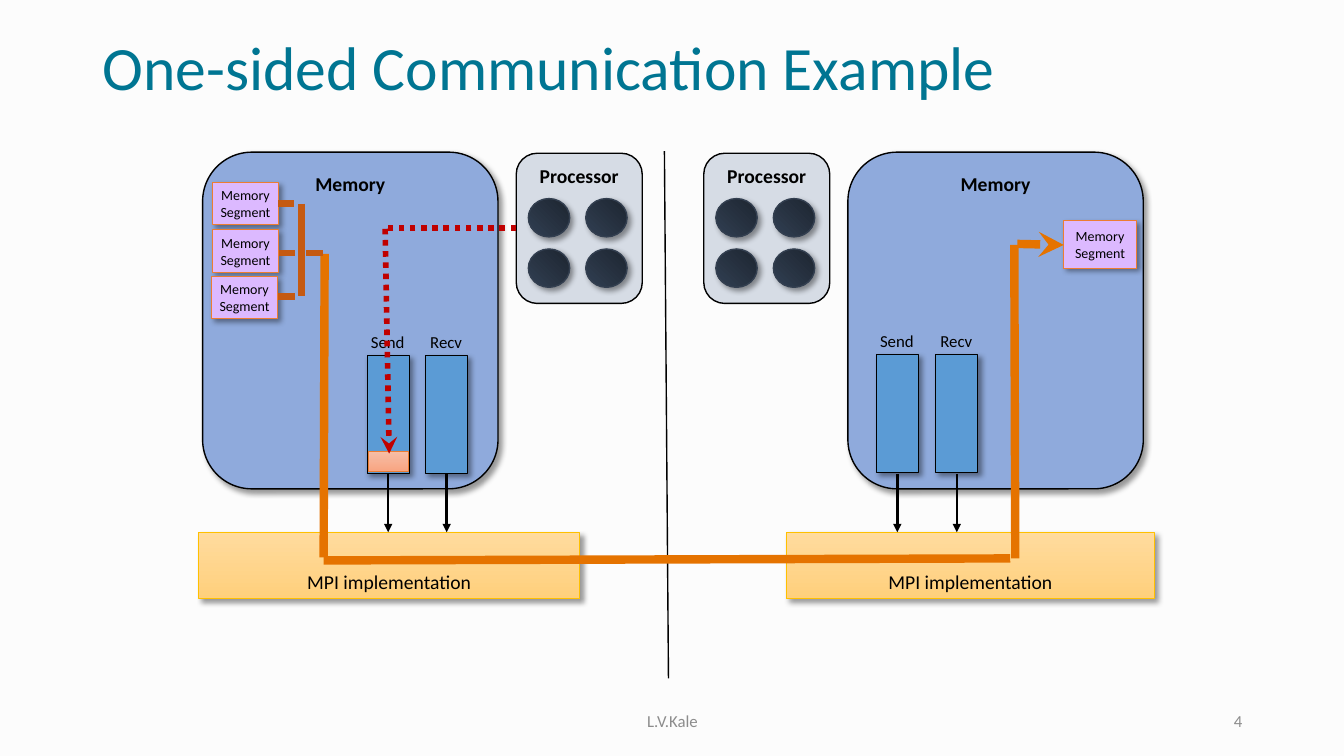
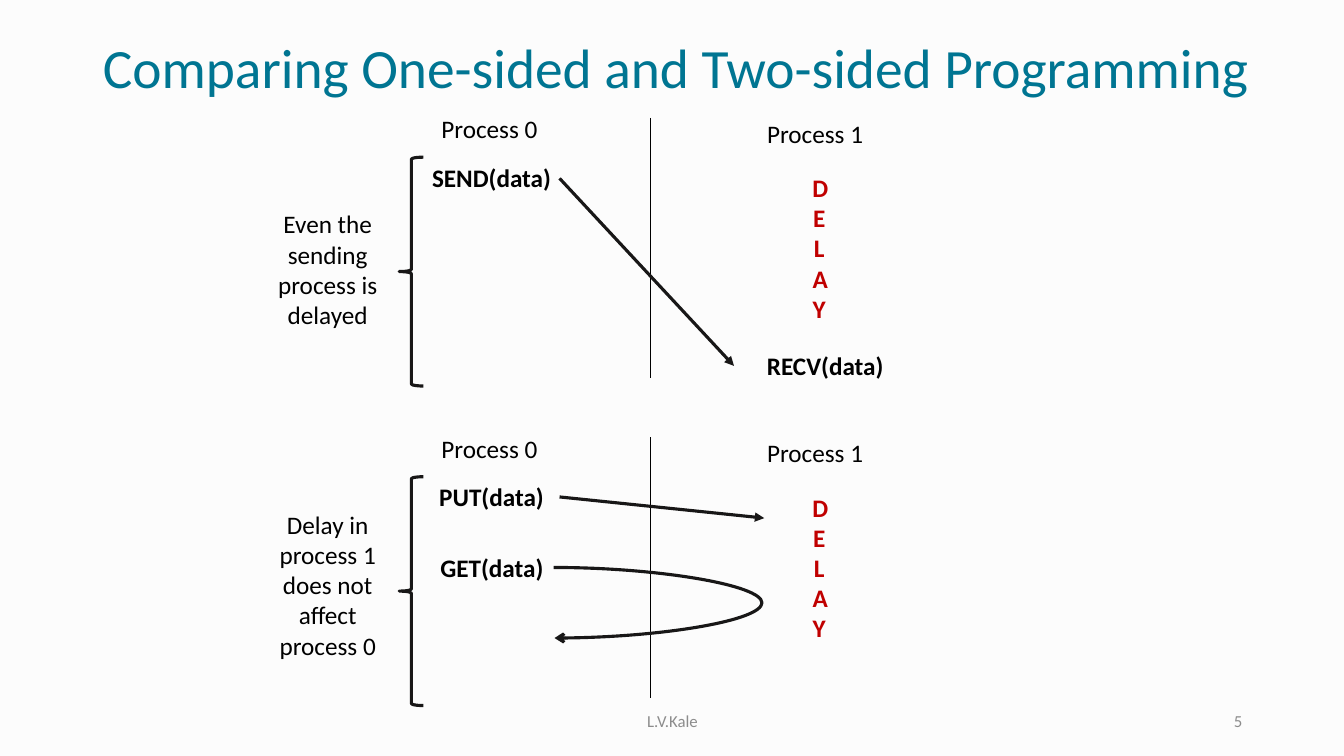
"""Build two slides on one-sided communication."""
from lxml import etree
from pptx import Presentation
from pptx.dml.color import RGBColor
from pptx.enum import dml, shapes, text
from pptx.oxml.ns import qn
from pptx.util import Inches, Pt

COLORS = {
    "background": "FCFCFC", "title": "007592", "footer": "8C8C8C", "black": "000000",
    "ink": "181717", "red": "C00000", "memory": "8FAADC", "processor": "D6DCE5",
    "buffer": "5B9BD5", "segment": "DCB9FF", "segment_line": "ED7D31",
    "mpi_top": "FFDB9E", "mpi_bottom": "FFD07C", "mpi_line": "FFC000",
    "core_dark": "1D2530", "core_light": "313F52", "core_line": "333F50",
    "message_top": "F7BDA5", "message_bottom": "F8A582",
    "route": "E57300", "gather": "C55A11",
}
FONT = "Calibri"
AUTHOR = "L.V.Kale"
KIND = shapes.MSO_SHAPE
LEFT, CENTER, RIGHT = text.PP_ALIGN.LEFT, text.PP_ALIGN.CENTER, text.PP_ALIGN.RIGHT
TOP, MIDDLE, BOTTOM = text.MSO_ANCHOR.TOP, text.MSO_ANCHOR.MIDDLE, text.MSO_ANCHOR.BOTTOM

SIDES = [
    {"memory": 2.01, "mpi": (1.97, 3.78), "processor": 5.12, "top": 3.53,
     "buffers": [("Send", 3.64), ("Recv", 4.22)]},
    {"memory": 8.41, "mpi": (7.8, 3.65), "processor": 6.98, "top": 3.52,
     "buffers": [("Send", 8.69), ("Recv", 9.28)]},
]
SEGMENTS = [(2.11, 1.81, 0.65, 0.42), (2.11, 2.28, 0.65, 0.42),
            (2.1, 2.74, 0.65, 0.42), (10.55, 2.19, 0.72, 0.47)]
REQUEST = [((5.12, 2.26), (3.85, 2.26), None), ((3.82, 2.27), (3.86, 4.5), "stealth")]
ROUTE = [((3.22, 2.52), (3.21, 5.53), None), ((3.21, 5.56), (10.02, 5.54), None),
         ((10.07, 5.54), (10.06, 2.43), None), ((10.09, 2.42), (10.55, 2.43), "stealth")]
GATHER = [((2.76, 2.02), (2.92, 2.02)), ((2.77, 2.51), (2.93, 2.51)),
          ((2.76, 2.94), (2.93, 2.94)), ((3.04, 2.51), (3.2, 2.51)),
          ((2.99, 2.02), (2.99, 2.51)), ((2.99, 2.45), (2.99, 2.94))]

PANELS = [
    {"note": "Even the sending process is delayed", "note_box": (2.02, 1.31),
     "calls": [("SEND(data)", 4.18, 1.56, 1.39), ("RECV(data)", 7.5, 3.43, 1.37)],
     "arrow": ((5.55, 1.77), (7.28, 3.63))},
    {"note": "Delay in process 1 does not affect process 0", "note_box": (5, 1.62),
     "calls": [("PUT(data)", 4.25, 4.73, 1.25), ("GET(data)", 4.26, 5.43, 1.24)],
     "arrow": ((5.55, 4.93), (7.58, 5.14))},
]
PANEL_PITCH = 3.17


def rgb(name):
    return RGBColor.from_string(COLORS[name])


def write(shape, lines, size, color="black", bold=False, align=CENTER,
          anchor=TOP, wrap=False):
    frame = shape.text_frame
    frame.word_wrap = wrap
    frame.vertical_anchor = anchor
    frame.text = lines
    for paragraph in frame.paragraphs:
        paragraph.alignment = align
        font = paragraph.font
        font.name, font.size, font.bold = FONT, Pt(size), bold
        font.color.rgb = rgb(color)


def add_label(slide, box, words, size, **style):
    label = slide.shapes.add_textbox(*map(Inches, box))
    write(label, words, size, **style)
    return label


def add_block(slide, kind, box, fill, line, width, shadow=True, angle=270):
    """Add an outlined shape; a pair of fill names makes a gradient."""
    block = slide.shapes.add_shape(kind, *map(Inches, box))
    block.shadow.inherit = False
    if fill is None:
        block.fill.background()
    elif isinstance(fill, tuple):
        block.fill.gradient()
        block.fill.gradient_angle = angle
        for stop, name in zip(block.fill.gradient_stops, fill):
            stop.color.rgb = rgb(name)
    else:
        block.fill.solid()
        block.fill.fore_color.rgb = rgb(fill)
    block.line.color.rgb = rgb(line)
    block.line.width = Pt(width)
    if shadow:
        effects = block._element.spPr.find(qn("a:effectLst"))
        outer = etree.SubElement(effects, qn("a:outerShdw"), blurRad=str(Pt(4)),
                                 dist=str(Pt(3)), dir="2700000", rotWithShape="0")
        color = etree.SubElement(outer, qn("a:srgbClr"), val=COLORS["black"])
        etree.SubElement(color, qn("a:alpha"), val="40000")
    return block


def add_line(slide, start, end, color, width, head=None, dash=None,
             kind=shapes.MSO_CONNECTOR.STRAIGHT):
    connector = slide.shapes.add_connector(kind, *map(Inches, (*start, *end)))
    connector.line.color.rgb = rgb(color)
    connector.line.width = Pt(width)
    if dash:
        connector.line.dash_style = dash
    properties = connector._element.spPr
    if head:
        etree.SubElement(properties.find(qn("a:ln")), qn("a:tailEnd"), type=head)
    etree.SubElement(properties, qn("a:effectLst"))
    return connector


def add_slide(presentation, title, number, width, size):
    slide = presentation.slides.add_slide(presentation.slide_layouts[5])
    heading = slide.shapes.title
    heading.left, heading.top, heading.width, heading.height = map(
        Inches, (0.92, 0.28, width, 0.84))
    write(heading, title, size, color="title", align=LEFT, anchor=MIDDLE, wrap=True)
    heading.text_frame.auto_size = text.MSO_AUTO_SIZE.NONE
    heading.text_frame.paragraphs[0].line_spacing = 0.9
    for left, span, words, align in [(4.42, 4.5, AUTHOR, CENTER),
                                     (9.42, 3, str(number), RIGHT)]:
        add_label(slide, (left, 6.95, span, 0.4), words, 12, color="footer",
                  align=align, anchor=MIDDLE, wrap=True)
    return slide


def add_side(slide, side):
    left, width = side["mpi"]
    mpi = add_block(slide, KIND.RECTANGLE, (left, 5.28, width, 0.66),
                    ("mpi_top", "mpi_bottom"), "mpi_line", 0.5)
    write(mpi, "MPI implementation", 14, anchor=BOTTOM)
    memory = add_block(slide, KIND.ROUNDED_RECTANGLE, (side["memory"], 1.51, 2.93, 3.34),
                       "memory", "black", 1)
    write(memory, "Memory", 14, bold=True)
    for name, x in side["buffers"]:
        add_block(slide, KIND.RECTANGLE, (x, side["top"], 0.42, 1.17),
                  "buffer", "black", 0.75)
        add_line(slide, (x + 0.21, 4.7), (x + 0.21, 5.28), "black", 1.75, "triangle")
        add_label(slide, (x - 0.07, side["top"] - 0.29, 0.55, 0.3), name, 12)
    left = side["processor"]
    processor = add_block(slide, KIND.ROUNDED_RECTANGLE, (left, 1.52, 1.25, 1.49),
                          "processor", "black", 1, shadow=False)
    write(processor, "Processor", 14, bold=True)
    for row in range(2):
        for column in range(2):
            add_block(slide, KIND.OVAL,
                      (left + 0.12 + 0.57 * column, 1.97 + 0.5 * row, 0.41, 0.38),
                      ("core_dark", "core_light"), "core_line", 1, angle=225)


def build_example(presentation):
    slide = add_slide(presentation, "One-sided Communication Example", 4, 11.5, 44)
    for side in SIDES:
        add_side(slide, side)
    add_line(slide, (6.59, 1.5), (6.63, 6.73), "black", 1)
    add_block(slide, KIND.RECTANGLE, (3.65, 4.48, 0.4, 0.2),
              ("message_top", "message_bottom"), "segment_line", 0.5, shadow=False)
    for box in SEGMENTS:
        segment = add_block(slide, KIND.RECTANGLE, box, "segment", "segment_line", 0.5)
        write(segment, "Memory\nSegment", 10, anchor=MIDDLE)
    for start, end, head in REQUEST:
        add_line(slide, start, end, "red", 4, head, dml.MSO_LINE.ROUND_DOT)
    for start, end, head in ROUTE:
        add_line(slide, start, end, "route", 6, head)
    for start, end in GATHER:
        add_line(slide, start, end, "gather", 5)


def build_comparison(presentation):
    slide = add_slide(presentation, "Comparing One-sided and Two-sided Programming",
                      5, 12.08, 39.6)
    for index, panel in enumerate(PANELS):
        shift = index * PANEL_PITCH
        add_label(slide, (4.28, 1.08 + shift, 1.16, 0.4), "Process 0", 18, align=LEFT)
        add_label(slide, (7.51, 1.12 + shift, 1.44, 0.4), "Process 1", 18,
                  align=LEFT, wrap=True)
        add_line(slide, (6.45, 1.17 + shift), (6.45, 3.75 + shift), "black", 1)
        for words, left, top, width in panel["calls"]:
            add_label(slide, (left, top, width, 0.4), words, 18, bold=True)
        add_line(slide, *panel["arrow"], "ink", 2.25, "triangle")
        add_label(slide, (7.96, 1.66 + shift, 0.33, 1.62), "DELAY", 18,
                  color="red", bold=True, wrap=True)
        add_block(slide, KIND.LEFT_BRACE, (3.96, 1.56 + shift, 0.24, 2.27),
                  None, "ink", 2.25, shadow=False)
        top, height = panel["note_box"]
        add_label(slide, (2.54, top, 1.42, height), panel["note"], 18, wrap=True)
    reply = add_line(slide, (5.49, 5.63), (5.5, 6.33), "ink", 2.25, "arrow",
                     kind=shapes.MSO_CONNECTOR.CURVE)
    geometry = reply._element.spPr.find(qn("a:prstGeom"))
    guides = geometry.find(qn("a:avLst"))
    if guides is None:
        guides = etree.SubElement(geometry, qn("a:avLst"))
    etree.SubElement(guides, qn("a:gd"), name="adj1", fmla="val 21000000")


def main():
    presentation = Presentation()
    presentation.slide_width, presentation.slide_height = Inches(13.33), Inches(7.5)
    background = presentation.slide_master.background.fill
    background.solid()
    background.fore_color.rgb = rgb("background")
    build_example(presentation)
    build_comparison(presentation)
    presentation.save("out.pptx")


if __name__ == "__main__":
    main()
